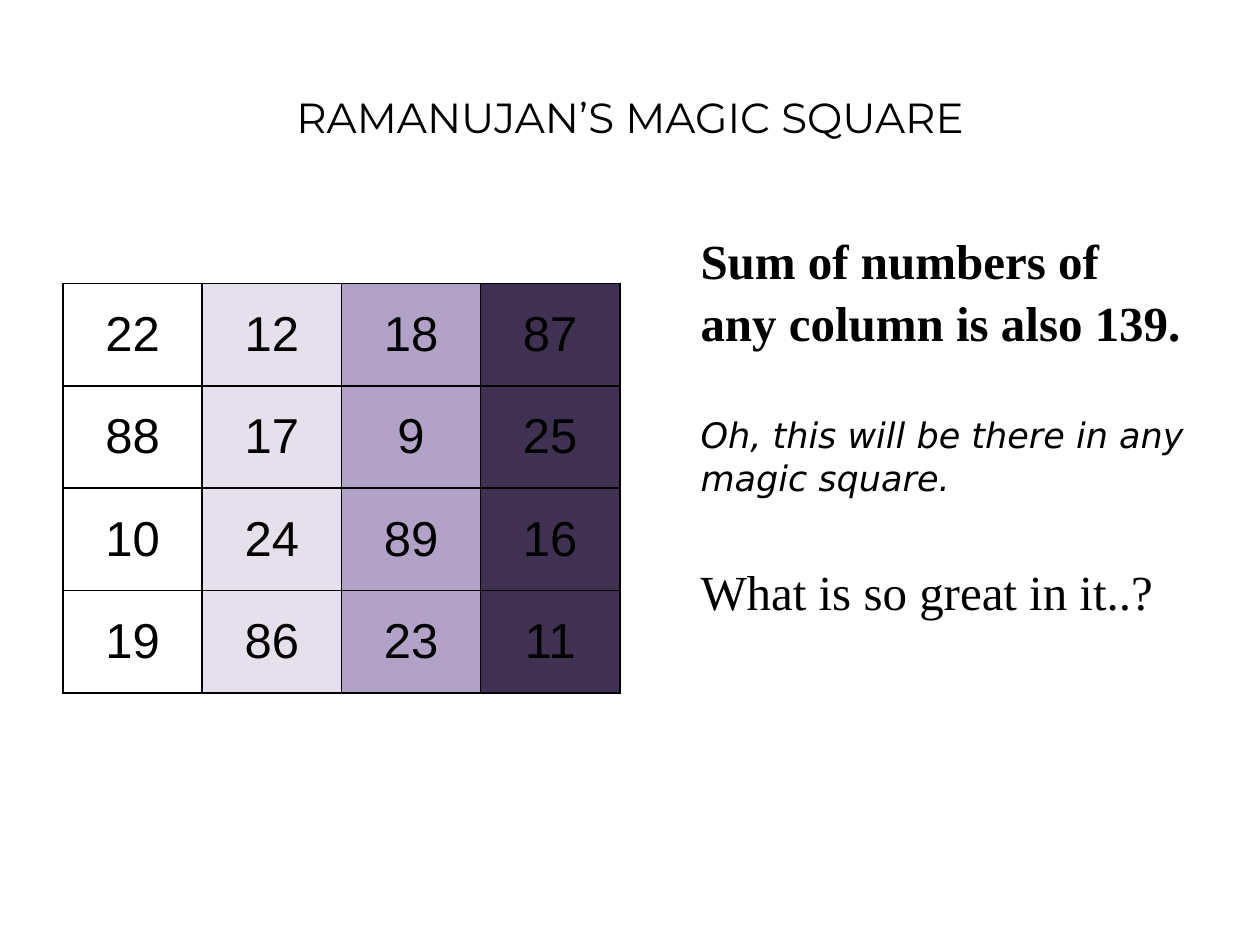
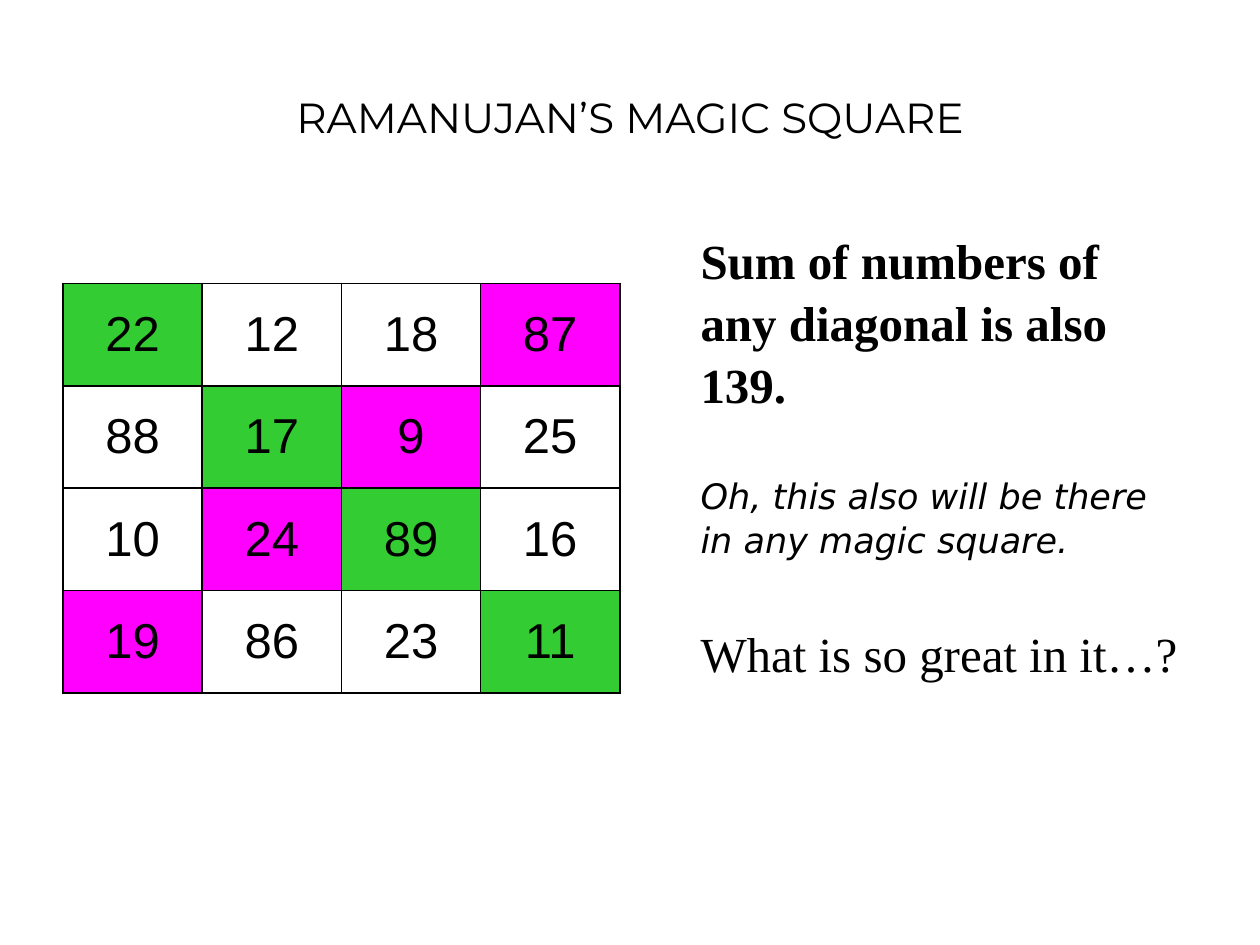
from dataclasses import dataclass

import pptx
import pptx.dml.color
import pptx.enum.text
import pptx.oxml.ns
import pptx.util
from lxml import etree
from pptx.util import Inches, Pt

TITLE = "RAMANUJAN’S MAGIC SQUARE"
SQUARE = [
    [22, 12, 18, 87],
    [88, 17, 9, 25],
    [10, 24, 89, 16],
    [19, 86, 23, 11],
]
SIZE = len(SQUARE)


@dataclass(frozen=True)
class Theme:
    ink: str = "000000"
    paper: str = "FFFFFF"
    columns: tuple = ("FFFFFF", "E6E0EC", "B3A2C7", "403152")
    falling: str = "33CC33"
    rising: str = "FF00FF"
    title_font: str = "Montserrat"
    number_font: str = "Arial"
    title_size: int = 24
    number_size: int = 28
    border: float = 1.08
    paragraph_gap: float = 34.5


@dataclass(frozen=True)
class TextStyle:
    font: str
    size: int
    line_spacing: float
    bold: bool = False
    italic: bool = False


THEME = Theme()
NOTE_STYLES = (
    TextStyle("Times New Roman", 28, 1.05, bold=True),
    TextStyle("DejaVu Sans", 20, 1.03, italic=True),
    TextStyle("Times New Roman", 28, 1.05),
)


def column_fill(row, column):
    return THEME.columns[column]


def diagonal_fill(row, column):
    if row == column:
        return THEME.falling
    if row + column == SIZE - 1:
        return THEME.rising
    return THEME.paper


SLIDES = [
    (column_fill, (
        "Sum of numbers of any column is also 139.",
        "Oh, this will be there in any magic square.",
        "What is so great in it..?",
    )),
    (diagonal_fill, (
        "Sum of numbers of any diagonal is also 139.",
        "Oh, this also will be there in any magic square.",
        "What is so great in it…?",
    )),
]


def rgb(value):
    return pptx.dml.color.RGBColor.from_string(value)


def add_element(parent, tag, **attributes):
    return etree.SubElement(parent, pptx.oxml.ns.qn(tag), **attributes)


def place(shape, left, top, width, height):
    shape.left, shape.top = Inches(left), Inches(top)
    shape.width, shape.height = Inches(width), Inches(height)


def style_font(font, name, size, bold=False, italic=False):
    font.name, font.size = name, Pt(size)
    font.bold, font.italic = bold, italic
    font.color.rgb = rgb(THEME.ink)


def write_title(title):
    place(title, 0.5, 0.3, 9, 1.25)
    title.text_frame.text = TITLE
    para = title.text_frame.paragraphs[0]
    para.alignment = pptx.enum.text.PP_ALIGN.CENTER
    style_font(para.font, THEME.title_font, THEME.title_size)


def write_notes(body, notes):
    place(body, 5.08, 1.76, 4.42, 4.95)
    frame = body.text_frame
    frame.auto_size = pptx.enum.text.MSO_AUTO_SIZE.NONE
    frame.text = "\n".join(notes)
    for index, (para, style) in enumerate(zip(frame.paragraphs, NOTE_STYLES)):
        para.line_spacing = style.line_spacing
        para.space_before = Pt(THEME.paragraph_gap if index else 0)
        properties = para._p.get_or_add_pPr()
        properties.set("marL", str(Inches(0.38)))
        properties.set("indent", "0")
        add_element(properties, "a:buNone")
        style_font(para.font, style.font, style.size, style.bold, style.italic)


def add_borders(cell):
    properties = cell._tc.get_or_add_tcPr()
    for side in ("L", "R", "T", "B"):
        line = add_element(properties, f"a:ln{side}", w=str(Pt(THEME.border)))
        add_element(add_element(line, "a:solidFill"), "a:srgbClr", val=THEME.ink)


def add_square(page, fill_rule):
    table = page.shapes.add_table(
        SIZE, SIZE, Inches(0.5), Inches(2.25), Inches(4.42), Inches(3.25)
    ).table
    table.first_row = table.horz_banding = False
    for row, numbers in enumerate(SQUARE):
        for column, number in enumerate(numbers):
            cell = table.cell(row, column)
            add_borders(cell)
            cell.fill.solid()
            cell.fill.fore_color.rgb = rgb(fill_rule(row, column))
            cell.vertical_anchor = pptx.enum.text.MSO_ANCHOR.MIDDLE
            cell.text = str(number)
            para = cell.text_frame.paragraphs[0]
            para.alignment = pptx.enum.text.PP_ALIGN.CENTER
            style_font(para.font, THEME.number_font, THEME.number_size)


def main():
    deck = pptx.Presentation()
    deck.slide_width, deck.slide_height = Inches(10), Inches(7.5)
    title_and_content = deck.slide_layouts[1]
    for fill_rule, notes in SLIDES:
        page = deck.slides.add_slide(title_and_content)
        write_title(page.shapes.title)
        add_square(page, fill_rule)
        write_notes(page.placeholders[1], notes)
    deck.save("out.pptx")


if __name__ == "__main__":
    main()
